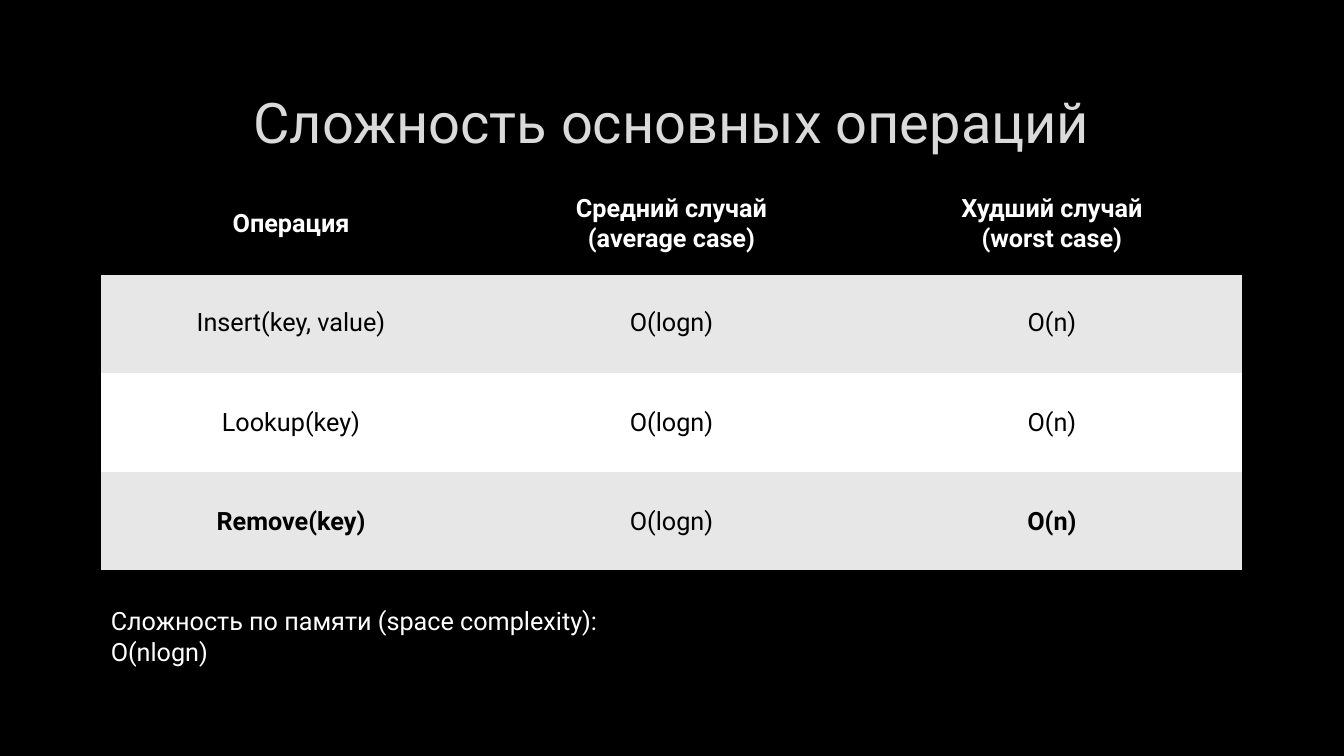
from dataclasses import dataclass

from pptx import Presentation
from pptx.dml.color import RGBColor as RGB
from pptx.enum.text import MSO_ANCHOR as Anchor, MSO_AUTO_SIZE as AutoSize, PP_ALIGN as Align
from pptx.oxml import parse_xml
from pptx.oxml.ns import nsdecls
from pptx.util import Inches, Pt

TITLE = "Сложность основных операций"
ROWS = [
    ["Операция", "Средний случай\n(average case)", "Худший случай\n(worst case)"],
    ["Insert(key, value)", "O(logn)", "O(n)"],
    ["Lookup(key)", "O(logn)", "O(n)"],
    ["Remove(key)", "O(logn)", "O(n)"],
]
BOLD_CELLS = {(0, 0), (0, 1), (0, 2), (3, 0), (3, 2)}
BORDERS = {0: ("lnT", "lnB"), 3: ("lnB",)}
MEMORY = "Сложность по памяти (space complexity): O(nlogn)"
LEFT, WIDTH = 1, 11.32
TABLE_TOP, TABLE_HEIGHT = 1.73, 3.94
PLAIN_STYLE = "{2D5ABB26-0587-4C30-8999-92F81FD0307C}"


@dataclass(frozen=True)
class Theme:
    font: str = "Roboto"
    title_size: int = 40
    text_size: int = 18
    dark: str = "000000"
    light: str = "FFFFFF"
    band: str = "E7E7E7"
    title: str = "DADADA"


theme = Theme()


def write(tf, text, size, color, align, bold=False):
    for i, line in enumerate(text.split("\n")):
        p = tf.paragraphs[0] if i == 0 else tf.add_paragraph()
        p.alignment = align
        r = p.add_run()
        r.text = line
        r.font.name = theme.font
        r.font.size = Pt(size)
        r.font.bold = bold
        r.font.color.rgb = RGB.from_string(color)


def add_border(cell, side):
    cell._tc.get_or_add_tcPr().append(parse_xml(
        f'<a:{side} {nsdecls("a")} w="{Pt(2)}"><a:solidFill>'
        f'<a:srgbClr val="{theme.dark}"/></a:solidFill></a:{side}>'))


def add_title(s):
    sp = s.shapes.title
    sp.left, sp.top, sp.width, sp.height = map(Inches, (LEFT, 0.67, WIDTH, 1.06))
    tf = sp.text_frame
    tf.vertical_anchor = Anchor.MIDDLE
    tf.auto_size = AutoSize.NONE
    write(tf, TITLE, theme.title_size, theme.title, Align.CENTER)


def add_complexity_table(s):
    frame = s.shapes.add_table(len(ROWS), len(ROWS[0]), *map(
        Inches, (LEFT, TABLE_TOP, WIDTH, TABLE_HEIGHT)))
    table = frame.table
    table._tbl.tblPr.find("{*}tableStyleId").text = PLAIN_STYLE
    table.horz_banding = False
    fills = [theme.dark, theme.band, theme.light, theme.band]
    for i, row in enumerate(ROWS):
        for j, text in enumerate(row):
            cell = table.cell(i, j)
            for side in BORDERS.get(i, ()):
                add_border(cell, side)
            cell.fill.solid()
            cell.fill.fore_color.rgb = RGB.from_string(fills[i])
            cell.vertical_anchor = Anchor.MIDDLE
            color = theme.light if i == 0 else theme.dark
            write(cell.text_frame, text, theme.text_size, color, Align.CENTER, (i, j) in BOLD_CELLS)


def add_memory_note(s):
    sp = s.shapes.add_textbox(*map(Inches, (LEFT, 5.96, 5.92, 0.4)))
    tf = sp.text_frame
    tf.word_wrap = True
    tf.auto_size = AutoSize.SHAPE_TO_FIT_TEXT
    write(tf, MEMORY, theme.text_size, theme.light, Align.LEFT)


def main():
    prs = Presentation()
    prs.slide_width, prs.slide_height = Inches(13.33), Inches(7.5)
    s = prs.slides.add_slide(prs.slide_layouts[5])
    s.background.fill.solid()
    s.background.fill.fore_color.rgb = RGB.from_string(theme.dark)
    add_title(s)
    add_complexity_table(s)
    add_memory_note(s)
    prs.save("out.pptx")


if __name__ == "__main__":
    main()
